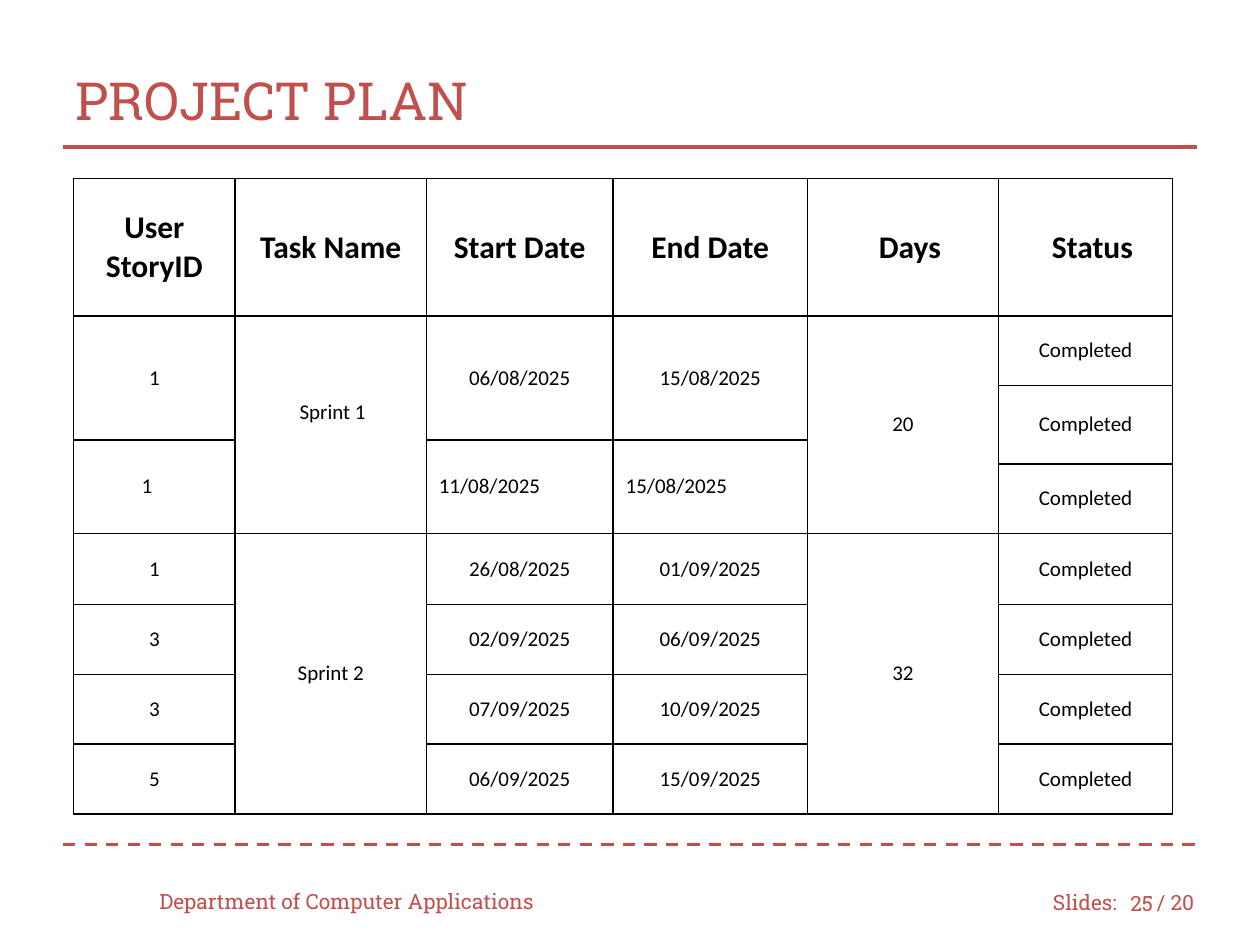
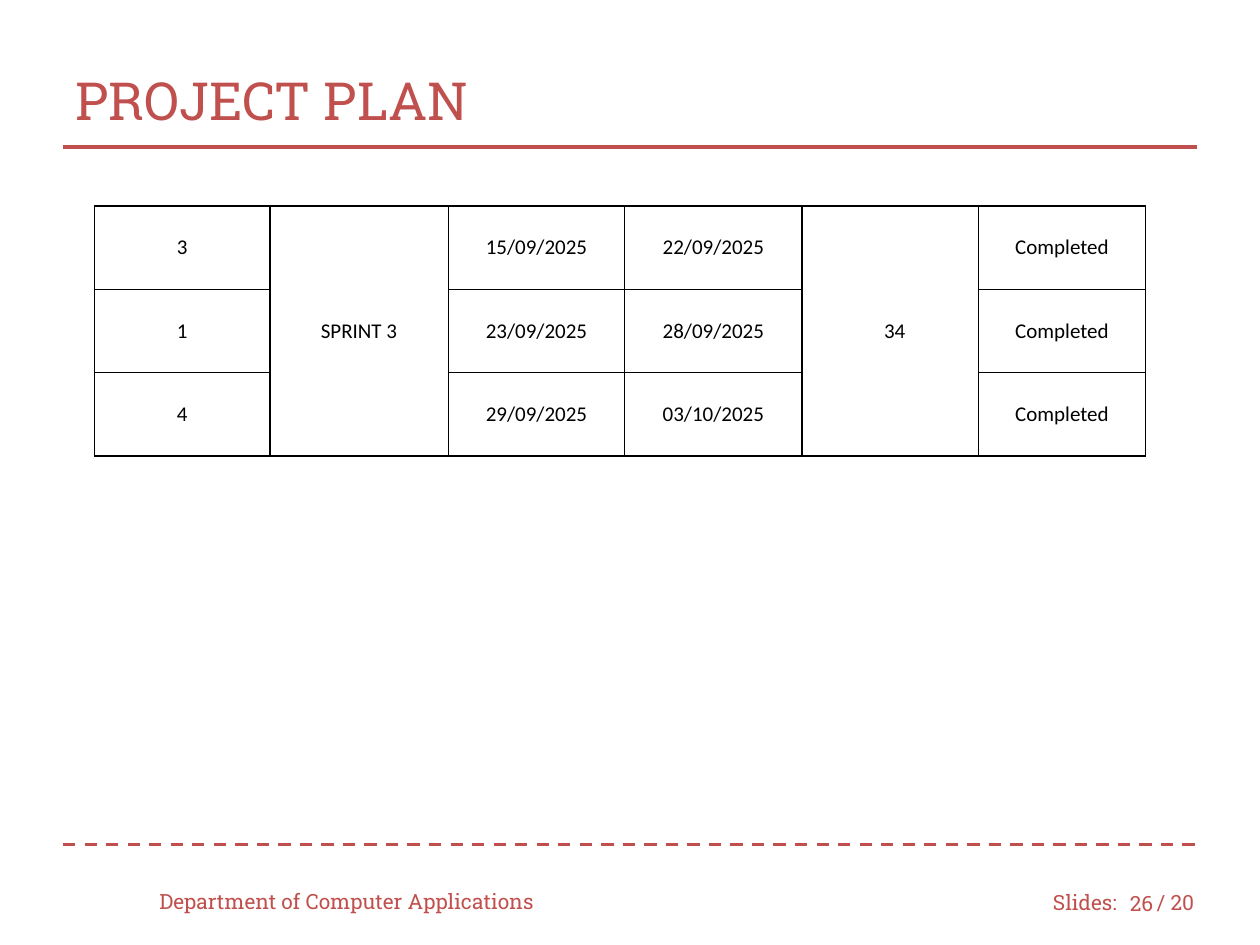
from dataclasses import dataclass, field

from lxml.etree import SubElement as Sub
from pptx import Presentation
from pptx.dml.color import RGBColor as Rgb
from pptx.enum.dml import MSO_LINE_DASH_STYLE as Dash
from pptx.enum.shapes import MSO_CONNECTOR as Link
from pptx.enum.text import MSO_ANCHOR as Anchor, MSO_AUTO_SIZE as Fit, PP_ALIGN as Align
from pptx.oxml.ns import qn
from pptx.util import Inches, Pt

COLS, ROWS = 120, 90
WIDE, HIGH = Inches(10), Inches(7.5)
HUES = {"red": "C0504D", "ink": "000000", "paper": "FFFFFF"}
SLAB, SANS = "Roboto Slab", "Calibri"
LEFT, RIGHT = 6, 114
PAD = 0.1
DONE = "Completed"


@dataclass
class Label:
    text: str
    x: float
    y: float
    w: float
    align: Align = Align.LEFT


@dataclass
class Rule:
    y: float
    dash: Dash = Dash.SOLID


@dataclass
class Tweak:
    """Departure of one cell from the centred default, pads in inches."""
    align: Align = Align.CENTER
    left: float = PAD
    base: float = PAD


@dataclass
class Plan:
    """A table in grid units; None continues the cell above."""
    page: int
    x: float
    y: float
    cols: list[float]
    rows: list[float]
    cells: list[list[str | None]]
    head: bool = False
    tweaks: dict[tuple[int, int], Tweak] = field(default_factory=dict)


RULES = [Rule(80.4, Dash.DASH), Rule(14)]
LABELS = [
    Label("Slides:", 99.1, 83.5, 9),
    Label("/ 20", 109, 83.5, 7),
    Label("Department of Computer Applications", 14, 83.4, 40),
]
FLUSH = Tweak(align=Align.LEFT)
PLANS = [
    Plan(
        25, 7, 17,
        [15.4, 18.2, 17.8, 18.5, 18.2, 16.6],
        [13.1, 6.6, 5.2, 2.3, 6.6, 6.8] + [6.65] * 3,
        [
            ["User\nStoryID", "Task Name", "Start Date", "End Date", "Days", "Status"],
            ["1", "Sprint 1", "06/08/2025", "15/08/2025", "20", DONE],
            [None, None, None, None, None, DONE],
            ["1", None, "11/08/2025", "15/08/2025", None, None],
            [None, None, None, None, None, DONE],
            ["1", "Sprint 2", "26/08/2025", "01/09/2025", "32", DONE],
            ["3", None, "02/09/2025", "06/09/2025", None, DONE],
            ["3", None, "07/09/2025", "10/09/2025", None, DONE],
            ["5", None, "06/09/2025", "15/09/2025", None, DONE],
        ],
        head=True,
        tweaks={
            (0, 4): Tweak(left=0.21),
            (0, 5): Tweak(left=0.21),
            (1, 1): Tweak(left=0.13, base=0.3),
            (3, 0): Tweak(align=Align.LEFT, left=0.54),
            (3, 2): FLUSH,
            (3, 3): FLUSH,
        },
    ),
    Plan(
        26, 9, 19.6,
        [16.7, 17, 16.8, 16.9, 16.8, 15.9],
        [7.95] * 3,
        [
            ["3", "SPRINT 3", "15/09/2025", "22/09/2025", "34", DONE],
            ["1", None, "23/09/2025", "28/09/2025", None, DONE],
            ["4", None, "29/09/2025", "03/10/2025", None, DONE],
        ],
        tweaks={(0, 4): Tweak(left=0.17)},
    ),
]


def across(n: float) -> int:
    return round(WIDE * n / COLS)


def down(n: float) -> int:
    return round(HIGH * n / ROWS)


def write(frame, text: str, *, size: float = 12, font: str = SLAB, hue: str = "red",
          bold: bool = False, align: Align = Align.LEFT) -> None:
    frame.text = text
    for para in frame.paragraphs:
        para.alignment = align
        for run in para.runs:
            face = run.font
            face.name, face.size, face.bold = font, Pt(size), bold
            face.color.rgb = Rgb.from_string(HUES[hue])


def add_label(slide, label: Label) -> None:
    box = slide.shapes.add_textbox(across(label.x), down(label.y), across(label.w), down(4.8))
    frame = box.text_frame
    frame.word_wrap = True
    frame.vertical_anchor = Anchor.MIDDLE
    write(frame, label.text, align=label.align)


def add_rule(slide, rule: Rule) -> None:
    line = slide.shapes.add_connector(
        Link.STRAIGHT, across(LEFT), down(rule.y), across(RIGHT), down(rule.y))
    line.line.color.rgb = Rgb.from_string(HUES["red"])
    line.line.width = Pt(1.75)
    line.line.dash_style = rule.dash
    Sub(line._element.spPr, qn("a:effectLst"))


def add_title(slide, text: str) -> None:
    title = slide.shapes.title
    title.left, title.top = across(LEFT), down(4)
    title.width, title.height = across(RIGHT - LEFT), down(11)
    frame = title.text_frame
    frame.auto_size = Fit.NONE
    frame.vertical_anchor = Anchor.MIDDLE
    write(frame, text, size=30)


def edge(cell) -> None:
    """Border all four sides, ahead of the fill as the schema orders."""
    props = cell._tc.get_or_add_tcPr()
    for side in ("lnL", "lnR", "lnT", "lnB"):
        line = Sub(props, qn(f"a:{side}"), w=str(Pt(1)))
        Sub(Sub(line, qn("a:solidFill")), qn("a:srgbClr"), val=HUES["ink"])


def add_plan(slide, plan: Plan) -> None:
    table = slide.shapes.add_table(
        len(plan.rows), len(plan.cols), across(plan.x), down(plan.y),
        across(sum(plan.cols)), down(sum(plan.rows))).table
    table.first_row = table.horz_banding = False
    for col, w in zip(table.columns, plan.cols):
        col.width = across(w)
    for row, h in zip(table.rows, plan.rows):
        row.height = down(h)
    for r, texts in enumerate(plan.cells):
        for c, text in enumerate(texts):
            cell = table.cell(r, c)
            edge(cell)
            cell.fill.solid()
            cell.fill.fore_color.rgb = Rgb.from_string(HUES["paper"])
            cell.vertical_anchor = Anchor.MIDDLE
            if text is None:
                cell.margin_top = cell.margin_bottom = 0
                Sub(cell.text_frame.paragraphs[0]._p, qn("a:endParaRPr"), sz="100")
                continue
            tweak = plan.tweaks.get((r, c), Tweak())
            cell.margin_left, cell.margin_bottom = Inches(tweak.left), Inches(tweak.base)
            cell.margin_right = cell.margin_top = Inches(PAD)
            top = plan.head and r == 0
            write(cell.text_frame, text, size=18 if top else 12, font=SANS,
                  hue="ink", bold=top, align=tweak.align)
            end = r
            while end + 1 < len(plan.cells) and plan.cells[end + 1][c] is None:
                end += 1
            if end > r:
                cell.merge(table.cell(end, c))


def main() -> None:
    deck = Presentation()
    deck.slide_width, deck.slide_height = WIDE, HIGH
    for plan in PLANS:
        slide = deck.slides.add_slide(deck.slide_layouts[5])
        for rule in RULES:
            add_rule(slide, rule)
        add_title(slide, "PROJECT PLAN")
        page = Label(str(plan.page), 106, 83.6, 5, Align.RIGHT)
        for label in [*LABELS, page]:
            add_label(slide, label)
        add_plan(slide, plan)
    deck.save("out.pptx")


if __name__ == "__main__":
    main()
